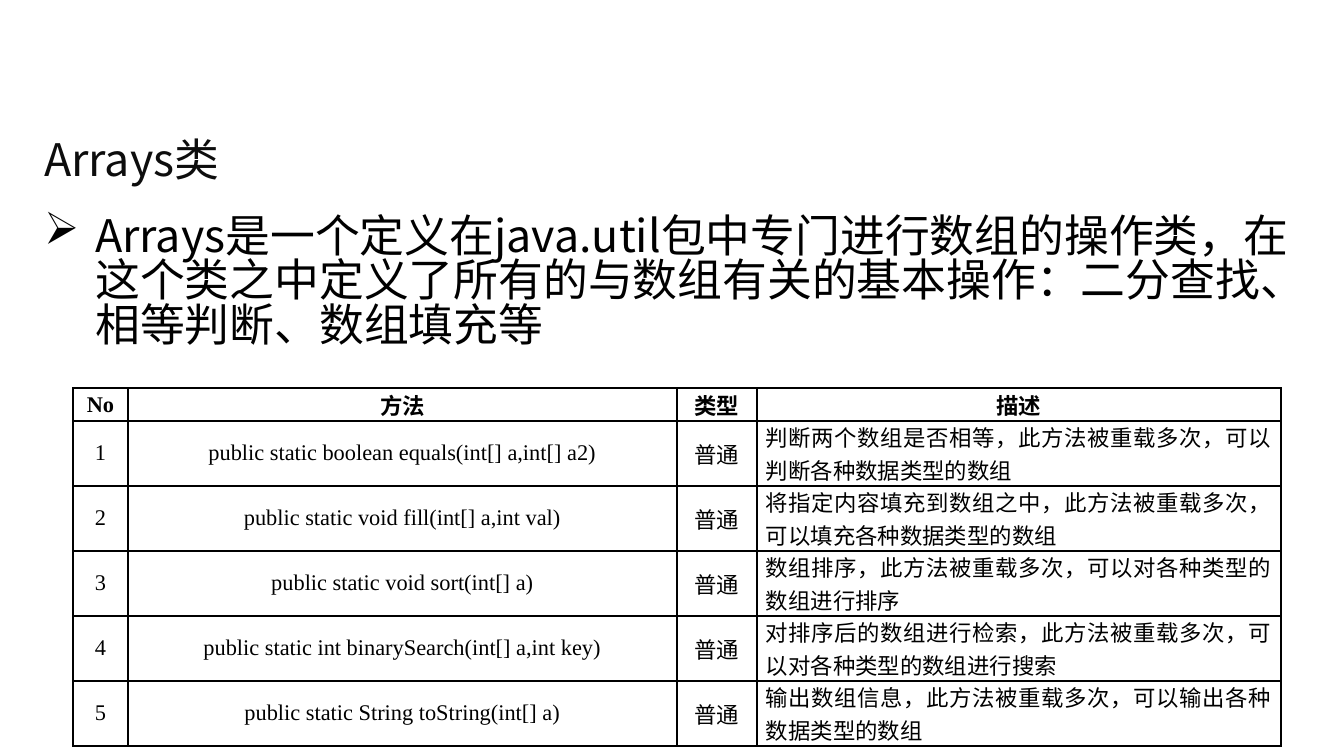
"""Build a slide that introduces the Java Arrays class with a table of its methods."""
import pptx
import pptx.dml.color
import pptx.enum.text
import pptx.oxml
import pptx.oxml.ns
import pptx.util

PX = 914400 / 134.4
SANS, SERIF = "Noto Sans CJK SC", "Times New Roman"
ALIGN = pptx.enum.text.PP_ALIGN
ANCHOR = pptx.enum.text.MSO_ANCHOR

TITLE = "Arrays类"
SUMMARY = (
    "Arrays是一个定义在java.util包中专门进行数组的操作类，"
    "在这个类之中定义了所有的与数组有关的基本操作：二分查找、相等判断、数组填充等"
)
HEADER = ("No", "方法", "类型", "描述")
METHODS = [
    ("public static boolean equals(int[] a,int[] a2)",
     "判断两个数组是否相等，此方法被重载多次，可以判断各种数据类型的数组"),
    ("public static void fill(int[] a,int val)",
     "将指定内容填充到数组之中，此方法被重载多次，可以填充各种数据类型的数组"),
    ("public static void sort(int[] a)",
     "数组排序，此方法被重载多次，可以对各种类型的数组进行排序"),
    ("public static int binarySearch(int[] a,int key)",
     "对排序后的数组进行检索，此方法被重载多次，可以对各种类型的数组进行搜索"),
    ("public static String toString(int[] a)",
     "输出数组信息，此方法被重载多次，可以输出各种数据类型的数组"),
]
COLUMNS = (55, 549, 80, 524)
HEADER_HEIGHT, ROW_HEIGHT = 33, 65


def px(length):
    return pptx.util.Emu(round(length * PX))


def add_xml(parent, tag, body="", **attributes):
    values = "".join(f' {name}="{value}"' for name, value in attributes.items())
    namespace = pptx.oxml.ns.nsdecls("a")
    parent.append(pptx.oxml.parse_xml(f"<a:{tag} {namespace}{values}>{body}</a:{tag}>"))


def write(frame, text, *, size, font=SANS, color="000000", bold=False,
          align=ALIGN.LEFT, spacing=None, bullet=None, indent=0):
    para = frame.paragraphs[0]
    para.alignment = align
    if spacing:
        para.line_spacing = spacing
    if bullet:
        properties = para._p.get_or_add_pPr()
        properties.set("marL", str(px(indent)))
        properties.set("indent", str(px(-indent)))
        add_xml(properties, "buChar", char=bullet)
    span = para.add_run()
    span.text = text
    span.font.size = pptx.util.Pt(size)
    span.font.bold = bold
    span.font.color.rgb = pptx.dml.color.RGBColor.from_string(color)
    span.font.name = font
    add_xml(span._r.get_or_add_rPr(), "ea", typeface=SANS)


def add_text(page, text, place, anchor=ANCHOR.TOP, **style):
    box = page.shapes.add_textbox(*map(px, place))
    box.text_frame.word_wrap = True
    box.text_frame.vertical_anchor = anchor
    write(box.text_frame, text, **style)


def add_methods(page, left, top):
    rows = [HEADER] + [
        (str(number), method, "普通", description)
        for number, (method, description) in enumerate(METHODS, 1)
    ]
    heights = [HEADER_HEIGHT] + [ROW_HEIGHT] * len(METHODS)
    table = page.shapes.add_table(
        len(rows), len(COLUMNS), px(left), px(top), px(sum(COLUMNS)), px(sum(heights))
    ).table
    for column, width in zip(table.columns, COLUMNS):
        column.width = px(width)
    for row, height in zip(table.rows, heights):
        row.height = px(height)
    line = '<a:solidFill><a:srgbClr val="000000"/></a:solidFill>'
    for r, texts in enumerate(rows):
        for c, text in enumerate(texts):
            cell = table.cell(r, c)
            cell.vertical_anchor = ANCHOR.MIDDLE
            cell.margin_left = cell.margin_right = px(9)
            cell.margin_top = cell.margin_bottom = 0
            for side in ("lnL", "lnR", "lnT", "lnB"):
                add_xml(cell._tc.get_or_add_tcPr(), side, line, w=pptx.util.Pt(1))
            cell.fill.background()
            justified = r > 0 and c == len(COLUMNS) - 1
            write(cell.text_frame, text, size=12, font=SERIF, bold=r == 0,
                  align=ALIGN.JUSTIFY if justified else ALIGN.CENTER)


def main():
    deck = pptx.Presentation()
    deck.slide_width, deck.slide_height = px(1344), px(756)
    page = deck.slides.add_slide(deck.slide_layouts[6])
    add_text(page, TITLE, (31, 116, 1281, 86), ANCHOR.MIDDLE, size=24, color="0D0D0D")
    add_text(page, SUMMARY, (31, 210, 1281, 473), size=24,
             spacing=0.83, bullet="➢", indent=51)
    add_methods(page, 73, 388)
    deck.save("out.pptx")


if __name__ == "__main__":
    main()
